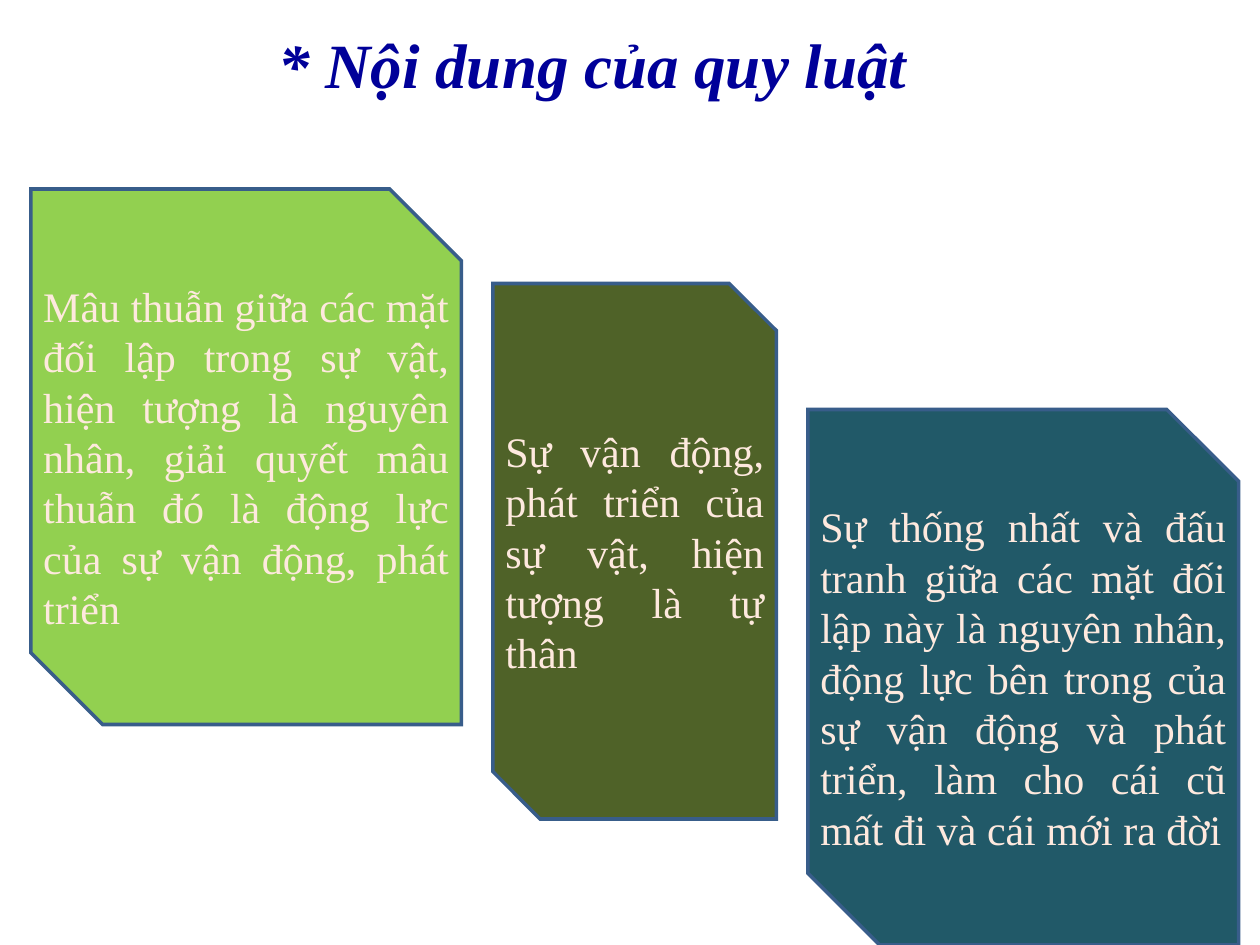
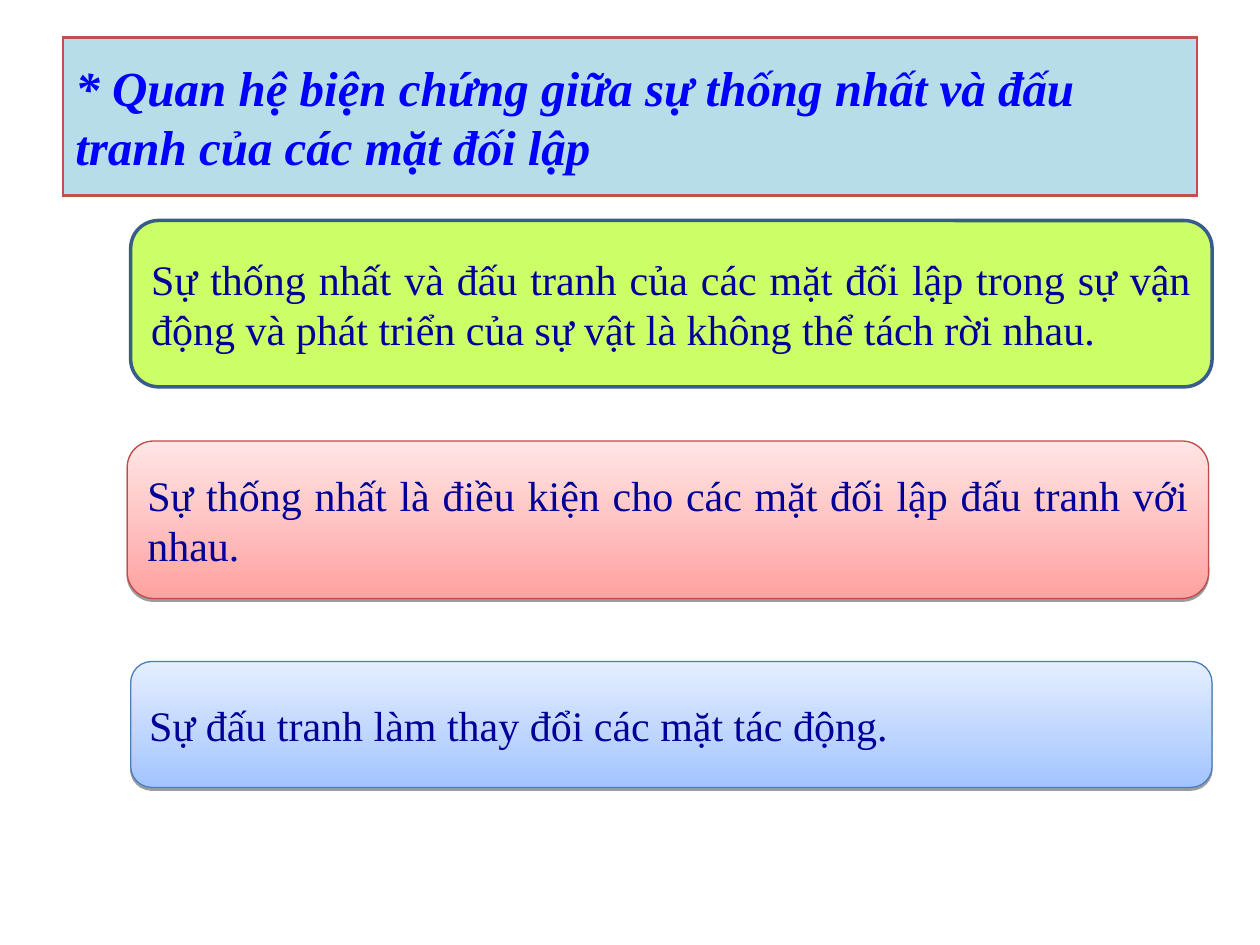
import dataclasses

import lxml.etree
import pptx
import pptx.dml.color
import pptx.enum.shapes
import pptx.enum.text
import pptx.oxml.ns
import pptx.util

ALIGN = pptx.enum.text.PP_ALIGN
SHAPES = pptx.enum.shapes.MSO_SHAPE


@dataclasses.dataclass(frozen=True)
class Theme:
    font: str = "Times New Roman"
    title_size: int = 36
    heading_size: int = 28
    body_size: int = 24
    navy: str = "000099"
    blue: str = "0000FF"
    cream: str = "FEE9DE"
    outline: str = "385D8A"
    heading_fill: str = "B7DEE8"
    heading_line: str = "C0504D"
    lime: str = "CCFF66"
    green: str = "92D050"
    olive: str = "4F6228"
    teal: str = "215968"
    red_fade: tuple = ("FFA2A1", "FFE5E5")
    red_line: str = "BE4B48"
    blue_fade: tuple = ("A3C4FF", "E5EEFF")
    blue_line: str = "4A7EBB"


THEME = Theme()

# The slide is a grid of 40 columns by 30 rows of square cells
COLUMNS, ROWS = 40, 30
CELL = pptx.util.Inches(0.25)


def grid(cells):
    return round(cells * CELL)


def color(code):
    return pptx.dml.color.RGBColor.from_string(code)


def add_element(parent, tag, **attributes):
    return lxml.etree.SubElement(parent, pptx.oxml.ns.qn(tag), **attributes)


def write_text(shape, text, size=THEME.body_size, font_color=THEME.navy,
               align=ALIGN.JUSTIFY, emphasis=False):
    """Put one paragraph in the middle of the shape's height."""
    frame = shape.text_frame
    frame.word_wrap = True
    frame.vertical_anchor = pptx.enum.text.MSO_ANCHOR.MIDDLE
    paragraph = frame.paragraphs[0]
    paragraph.alignment = align
    run = paragraph.add_run()
    run.text = text
    font = run.font
    font.name = THEME.font
    font.size = pptx.util.Pt(size)
    font.bold = font.italic = emphasis
    font.color.rgb = color(font_color)


def paint(shape, fill, line, line_width):
    """Fill with one colour, or with a pair that fades from bottom to top."""
    if isinstance(fill, tuple):
        shape.fill.gradient()
        shape.fill.gradient_angle = 90
        for stop, code in zip(shape.fill.gradient_stops, fill):
            stop.color.rgb = color(code)
    else:
        shape.fill.solid()
        shape.fill.fore_color.rgb = color(fill)
    shape.line.color.rgb = color(line)
    shape.line.width = pptx.util.Pt(line_width)
    outline = shape.element.spPr.find(pptx.oxml.ns.qn("a:ln"))
    add_element(outline, "a:miter", lim="800000")
    shape.shadow.inherit = False


def add_drop_shadow(shape):
    effects = shape.element.spPr.find(pptx.oxml.ns.qn("a:effectLst"))
    shadow = add_element(effects, "a:outerShdw", blurRad="0",
                         dist=str(pptx.util.Pt(1.6)), dir="5400000",
                         rotWithShape="0")
    black = add_element(shadow, "a:srgbClr", val="000000")
    add_element(black, "a:alpha", val="38000")


def add_title(slide, text, left, top, width, height, **text_format):
    box = slide.shapes.add_textbox(*map(grid, (left, top, width, height)))
    write_text(box, text, emphasis=True, **text_format)
    return box


def add_snipped_card(slide, text, left, top, width, height, fill):
    """Card with its top right and bottom left corners cut off."""
    cut = width / 6
    right, bottom = left + width, top + height
    corners = [
        (left, top), (right - cut, top), (right, top + cut), (right, bottom),
        (left + cut, bottom), (left, bottom - cut)]
    start, *others = [(grid(x), grid(y)) for x, y in corners]
    builder = slide.shapes.build_freeform(*start)
    builder.add_line_segments(others, close=True)
    card = builder.convert_to_shape()
    paint(card, fill, THEME.outline, 2)
    write_text(card, text, font_color=THEME.cream)


def add_rounded_card(slide, text, left, top, width, height, fill, line):
    card = slide.shapes.add_shape(
        SHAPES.ROUNDED_RECTANGLE, *map(grid, (left, top, width, height)))
    card.adjustments[0] = 0.167
    raised = isinstance(fill, tuple)
    paint(card, fill, line, 0.75 if raised else 2)
    if raised:
        add_drop_shadow(card)
    write_text(card, text)


def build_content_slide(slide):
    add_title(slide, "* Nội dung của quy luật", 0.96, 0, 35.68, 4.04,
              size=THEME.title_size, align=ALIGN.CENTER)

    # Cards side by side, stepping down to the right
    cards = [
        ("Mâu thuẫn giữa các mặt đối lập trong sự vật, hiện tượng là nguyên "
         "nhân, giải quyết mâu thuẫn đó là động lực của sự vận động, phát triển",
         6, 13.67, THEME.green),
        ("Sự vận động, phát triển của sự vật, hiện tượng là tự thân",
         9, 9, THEME.olive),
        ("Sự thống nhất và đấu tranh giữa các mặt đối lập này là nguyên nhân, "
         "động lực bên trong của sự vận động và phát triển, làm cho cái cũ "
         "mất đi và cái mới ra đời",
         13, 13.67, THEME.teal),
    ]
    left, gap, height = 0.98, 1, 17
    for text, top, width, fill in cards:
        add_snipped_card(slide, text, left, top, width, height, fill)
        left += width + gap


def build_relation_slide(slide):
    heading = add_title(
        slide,
        "* Quan hệ biện chứng giữa sự thống nhất và đấu tranh của các mặt đối lập",
        2, 1.2, 36, 5, size=THEME.heading_size, font_color=THEME.blue,
        align=ALIGN.LEFT)
    paint(heading, THEME.heading_fill, THEME.heading_line, 1.5)

    # Stacked cards, one every seven rows
    cards = [
        ("Sự thống nhất và đấu tranh của các mặt đối lập trong sự vận động và "
         "phát triển của sự vật là không thể tách rời nhau.",
         4.15, 5.28, THEME.lime, THEME.outline),
        ("Sự thống nhất là điều kiện cho các mặt đối lập đấu tranh với nhau.",
         4.04, 5, THEME.red_fade, THEME.red_line),
        ("Sự đấu tranh làm thay đổi các mặt tác động.",
         4.15, 4, THEME.blue_fade, THEME.blue_line),
    ]
    pitch, width = 7, 34.33
    for row, (text, left, height, fill, line) in enumerate(cards, start=1):
        add_rounded_card(slide, text, left, row * pitch, width, height, fill, line)


def main():
    presentation = pptx.Presentation()
    presentation.slide_width = grid(COLUMNS)
    presentation.slide_height = grid(ROWS)
    blank_layout = presentation.slide_layouts[6]
    for build in (build_content_slide, build_relation_slide):
        build(presentation.slides.add_slide(blank_layout))
    presentation.save("out.pptx")


if __name__ == "__main__":
    main()
